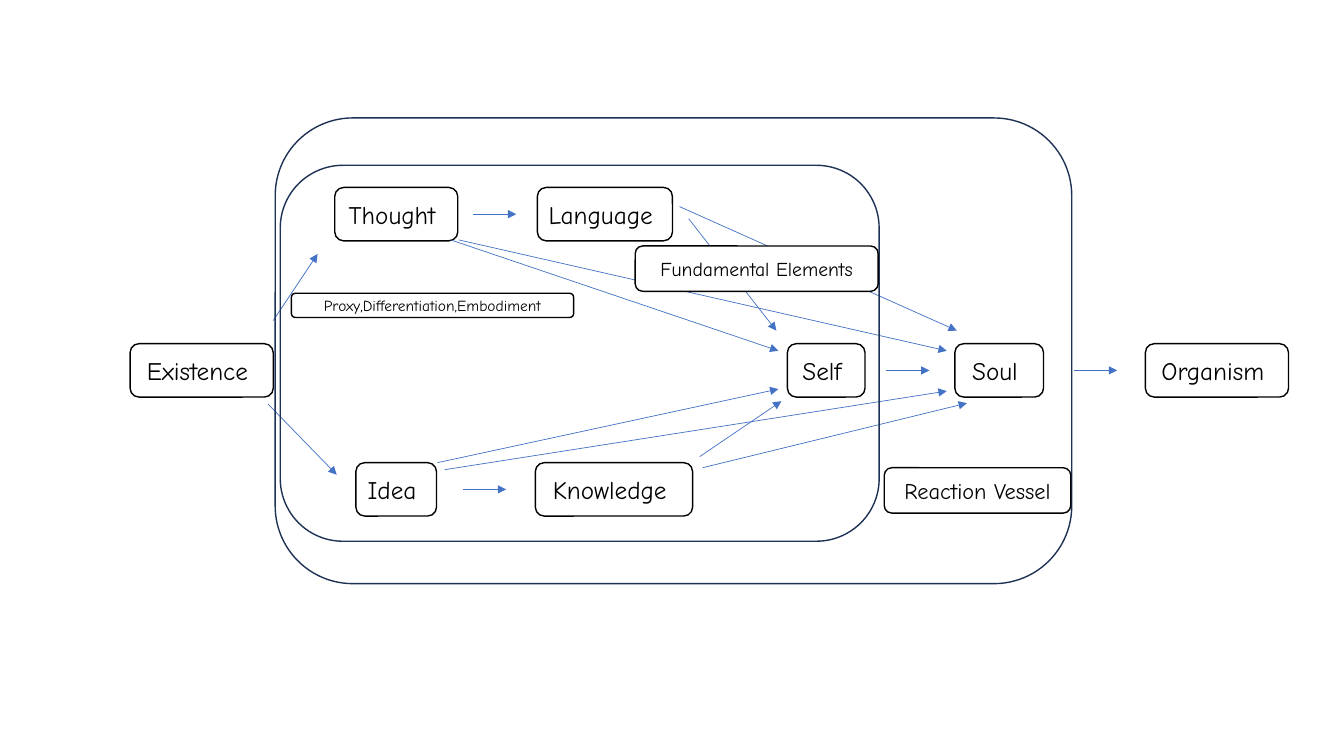
import pptx
import pptx.dml.color
import pptx.enum.shapes
import pptx.enum.text
import pptx.oxml
import pptx.oxml.ns
import pptx.util
from pptx.util import Inches

RGBColor = pptx.dml.color.RGBColor
BLACK = RGBColor(0x00, 0x00, 0x00)
WHITE = RGBColor(0xFF, 0xFF, 0xFF)
ARROW_BLUE = RGBColor(0x44, 0x72, 0xC4)
VESSEL_NAVY = RGBColor(0x1E, 0x32, 0x56)
FONT = "Comic Neue"

NODE_HEIGHT = 0.53
UPPER_ROW, MIDDLE_ROW, LOWER_ROW = 1.86, 3.41, 4.59
SHORT_ARROW = 0.43

NODES = [
    ("Organism ", 11.36, MIDDLE_ROW, 1.42),
    ("Language ", 5.33, UPPER_ROW, 1.34),
    ("Knowledge ", 5.31, LOWER_ROW, 1.56),
    ("Soul ", 9.47, MIDDLE_ROW, 0.88),
    ("Existence ", 1.29, MIDDLE_ROW, 1.42),
    ("Thought ", 3.32, UPPER_ROW, 1.22),
    ("Idea ", 3.53, LOWER_ROW, 0.8),
    ("Self ", 7.81, MIDDLE_ROW, 0.77),
]
SHORT_ARROWS = [
    (8.79, MIDDLE_ROW),
    (4.59, LOWER_ROW),
    (4.69, UPPER_ROW),
    (10.65, MIDDLE_ROW),
]
SLANTED_ARROWS = [
    ((2.66, 4.01), (3.34, 4.71)),
    ((2.71, 3.18), (3.15, 2.52)),
    ((6.83, 2.17), (7.7, 3.28)),
    ((6.94, 4.53), (7.75, 3.98)),
    ((6.97, 4.64), (9.59, 4)),
    ((4.41, 4.66), (9.39, 3.88)),
    ((6.74, 2.05), (9.49, 3.28)),
    ((4.55, 2.38), (9.39, 3.48)),
    ((4.47, 2.38), (7.72, 3.48)),
    ((4.34, 4.59), (7.72, 3.86)),
]
VESSELS = [(2.78, 1.64, 5.94, 3.73), (2.73, 1.17, 7.9, 4.62)]
LABELS = [
    ("Fundamental Elements", (6.3, 2.44, 2.41, 0.45), 14),
    ("Reaction Vessel", (8.77, 4.64, 1.85, 0.45), 16),
]


def write_text(shape, text, *, size, color=BLACK, font=FONT):
    frame = shape.text_frame
    frame.word_wrap = False
    frame.vertical_anchor = pptx.enum.text.MSO_ANCHOR.MIDDLE
    paragraph = frame.paragraphs[0]
    paragraph.alignment = pptx.enum.text.PP_ALIGN.CENTER
    run = paragraph.add_run()
    run.text = text
    run.font.size = pptx.util.Pt(size)
    run.font.name = font
    run.font.color.rgb = color


def add_rounded_box(slide, bounds, line_color):
    shape = slide.shapes.add_shape(
        pptx.enum.shapes.MSO_SHAPE.ROUNDED_RECTANGLE, *map(Inches, bounds)
    )
    shape.shadow.inherit = False
    shape.fill.background()
    shape.line.color.rgb = line_color
    shape.line.width = pptx.util.Pt(1)
    return shape


def add_text_box(slide, text, bounds, size):
    shape = add_rounded_box(slide, bounds, BLACK)
    shape.fill.solid()
    shape.fill.fore_color.rgb = WHITE
    write_text(shape, text, size=size)


def add_arrow(slide, start, end):
    connector = slide.shapes.add_connector(
        pptx.enum.shapes.MSO_CONNECTOR.STRAIGHT, *map(Inches, start + end)
    )
    connector.line.color.rgb = ARROW_BLUE
    connector.line.width = pptx.util.Pt(0.5)
    line = connector.line._get_or_add_ln()
    head = pptx.oxml.parse_xml(
        f'<a:tailEnd {pptx.oxml.ns.nsdecls("a")} type="triangle"/>'
    )
    line.append(head)
    effects = pptx.oxml.parse_xml(f'<a:effectLst {pptx.oxml.ns.nsdecls("a")}/>')
    connector._element.spPr.append(effects)


def main():
    presentation = pptx.Presentation()
    presentation.slide_width = Inches(13.33)
    presentation.slide_height = Inches(7.5)
    slide = presentation.slides.add_slide(presentation.slide_layouts[6])

    for text, left, top, width in NODES:
        add_text_box(slide, text, (left, top, width, NODE_HEIGHT), 18)
    for left, row in SHORT_ARROWS:
        middle = row + NODE_HEIGHT / 2
        add_arrow(slide, (left, middle), (left + SHORT_ARROW, middle))
    add_text_box(slide, "Proxy,Differentiation,Embodiment", (2.89, 2.91, 2.8, 0.24), 11)
    for start, end in SLANTED_ARROWS:
        add_arrow(slide, start, end)
    for bounds in VESSELS:
        add_rounded_box(slide, bounds, VESSEL_NAVY)
    for text, bounds, size in LABELS:
        add_text_box(slide, text, bounds, size)

    presentation.save("out.pptx")


if __name__ == "__main__":
    main()
